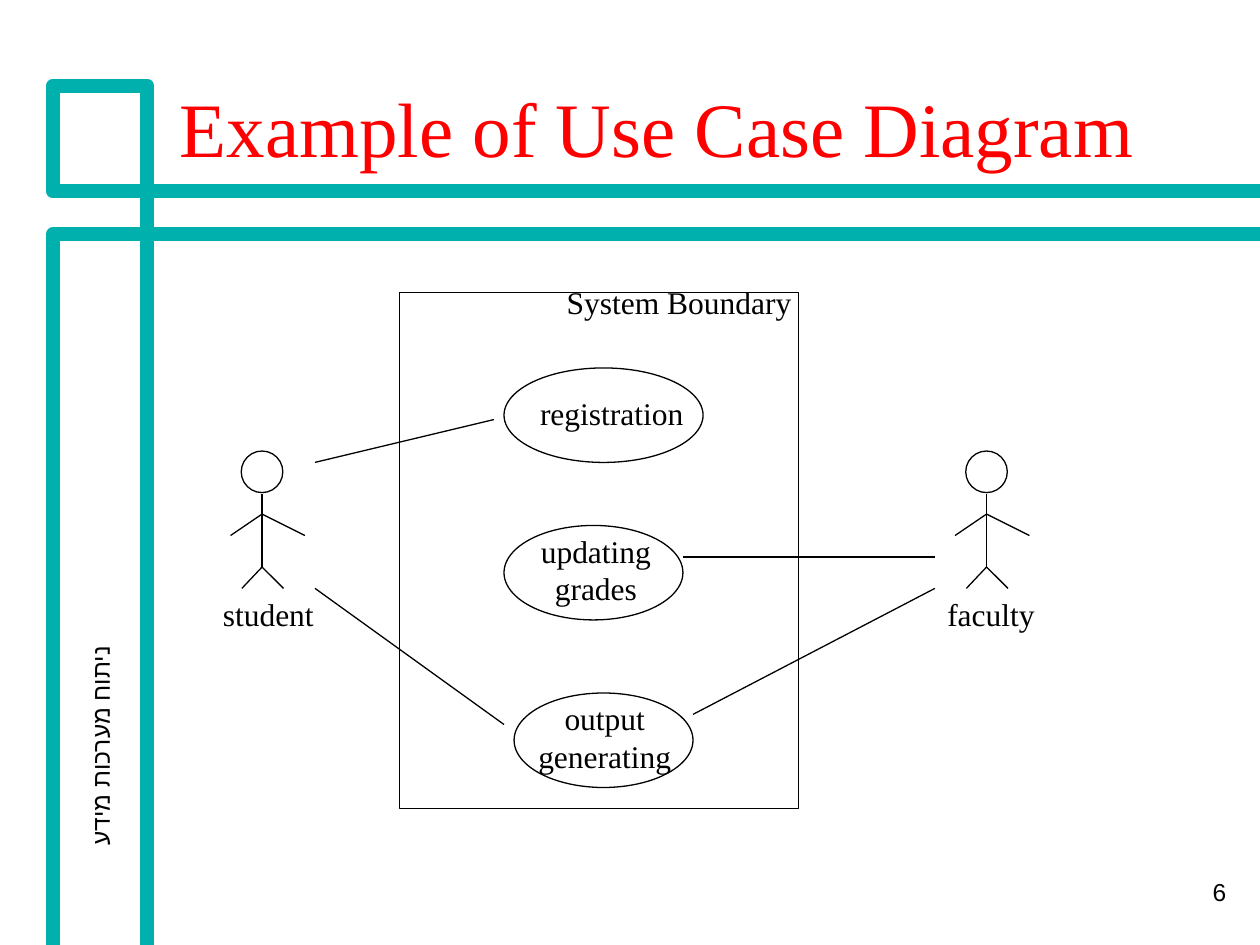
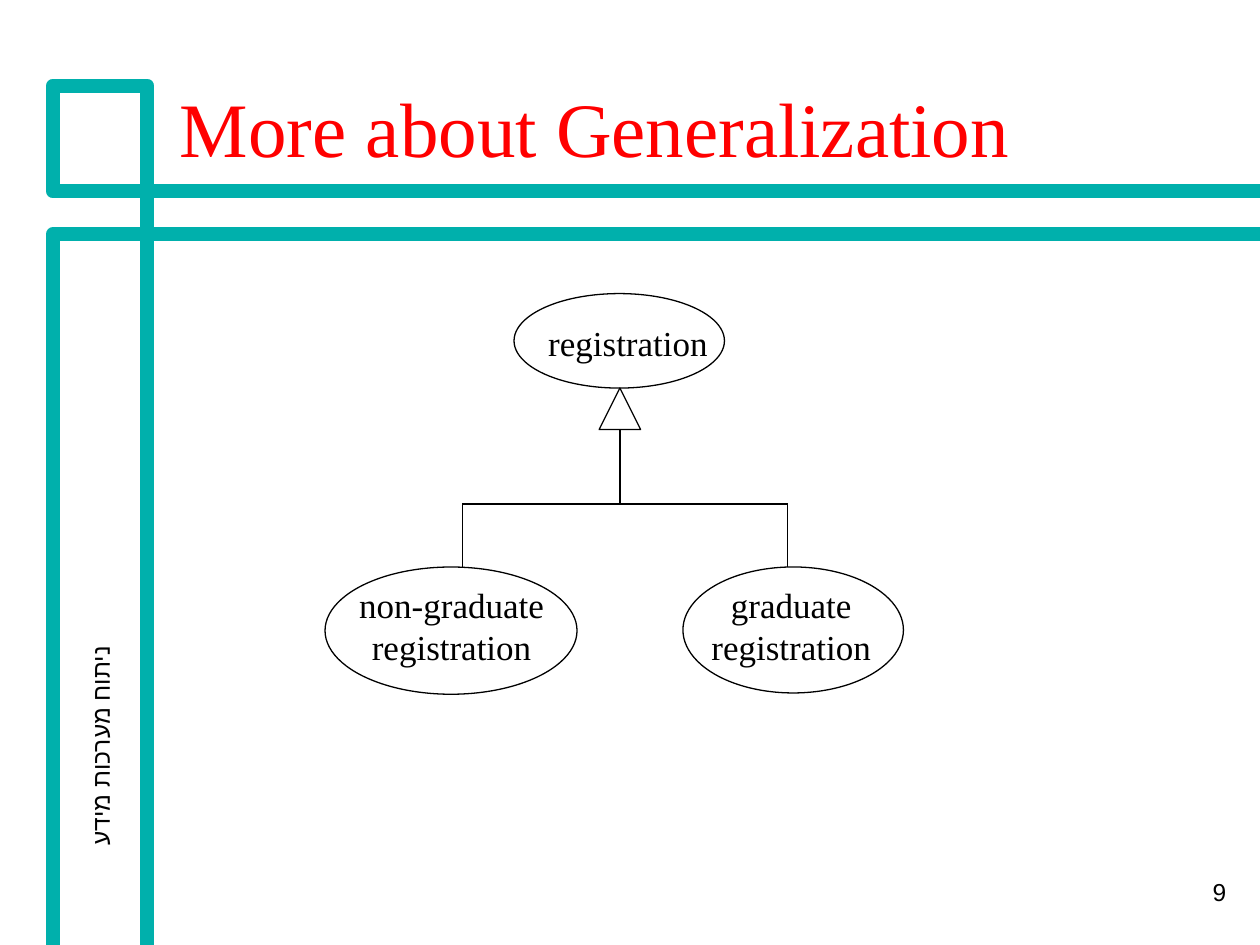
import pptx
import pptx.util
import pptx.dml.color
import pptx.enum.shapes
import pptx.enum.text
import pptx.oxml.ns
import lxml.etree

Inches = pptx.util.Inches
Pt = pptx.util.Pt
Align = pptx.enum.text.PP_ALIGN
Anchor = pptx.enum.text.MSO_ANCHOR
Shape = pptx.enum.shapes.MSO_SHAPE
qn = pptx.oxml.ns.qn

BLACK, RED, TEAL = "000000", "FF0000", "00B0AC"
SERIF, SANS = "Times New Roman", "Arial"
COURSE = "ניתוח מערכות מידע"
BANDS = [
    [(10.02, 1.86), (0.42, 1.86), (0.42, 7.5)],
    [(1.17, 7.5), (1.17, 0.68), (0.42, 0.68), (0.42, 1.52), (10.02, 1.52)],
]

ACTORS = [("student", 2.08, 1.08), ("faculty", 7.83, 1)]
ACTOR_TOP = 3.58
HEAD = 0.33
LIMBS = [
    (0, 0.34, 0, 0.92),
    (0, 0.5, 0.34, 0.67),
    (0, 0.5, -0.25, 0.67),
    (0, 0.92, 0.17, 1.09),
    (0, 0.92, -0.16, 1.09),
]
USE_CASES = [
    (["registration"], (4, 2.92, 1.58, 0.75), (4.13, 3.08, 1.45, 0.4)),
    (["updating", "grades"], (4, 4.17, 1.42, 0.75), (4.08, 4.17, 1.3, 0.7)),
    (["output", "generating"], (4.08, 5.5, 1.42, 0.75), (4.02, 5.5, 1.56, 0.74)),
]
ASSOCIATIONS = [
    (2.5, 3.67, 3.92, 3.33),
    (2.5, 4.67, 4, 5.75),
    (7.42, 4.42, 5.42, 4.42),
    (7.42, 4.67, 5.5, 5.67),
]
BOUNDARY = (3.17, 2.32, 3.17, 4.1)
BOUNDARY_LABEL = (4.39, 2.2, 2, 0.5)

CLASSES = [
    (["registration"], (4.08, 2.33, 1.67, 0.75), (4.22, 2.5, 1.53, 0.43)),
    (["graduate", "registration"], (5.42, 4.5, 1.75, 1), (5.48, 4.58, 1.6, 0.77)),
    (["non-graduate", "registration"], (2.58, 4.5, 2, 1.01), (2.67, 4.58, 1.83, 0.77)),
]
PARENT_X, CHILD_XS = 4.92, (3.67, 6.25)
TRIANGLE_TOP, TRIANGLE_SIDE = 3.08, 0.33
BRANCH_Y, CHILD_TOP = 4, 4.5


def color(value):
    return pptx.dml.color.RGBColor.from_string(value)


def style_outline(shape, line_color=BLACK, width=0.75):
    shape.shadow.inherit = False
    shape.fill.background()
    shape.line.color.rgb = color(line_color)
    shape.line.width = Pt(width)


def add_outline(page, kind, area):
    shape = page.shapes.add_shape(kind, *map(Inches, area))
    style_outline(shape)


def add_line(page, ends):
    line = page.shapes.add_connector(
        pptx.enum.shapes.MSO_CONNECTOR.STRAIGHT, *map(Inches, ends))
    line.line.color.rgb = color(BLACK)
    line.line.width = Pt(0.75)
    lxml.etree.SubElement(line.element.spPr, qn("a:effectLst"))


def add_text(page, lines, area, size=18, align=Align.CENTER, font=SERIF,
             ink=BLACK, anchor=Anchor.TOP, wrap=True):
    box = page.shapes.add_textbox(*map(Inches, area))
    frame = box.text_frame
    frame.word_wrap = wrap
    frame.vertical_anchor = anchor
    frame.text = "\n".join(lines)
    for para in frame.paragraphs:
        para.alignment = align
        para.font.name = font
        para.font.size = Pt(size)
        para.font.color.rgb = color(ink)
    return box


def add_bands(page):
    for points in BANDS:
        corners = [(Inches(x), Inches(y)) for x, y in points]
        builder = page.shapes.build_freeform(*corners[0])
        builder.add_line_segments(corners[1:], close=False)
        band = builder.convert_to_shape()
        style_outline(band, TEAL, 8)
        lxml.etree.SubElement(band.element.spPr.find(qn("a:ln")), qn("a:round"))


def add_page(deck, title, number):
    page = deck.slides.add_slide(deck.slide_layouts[6])
    add_bands(page)
    course = add_text(page, [COURSE], (-0.79, 5.67, 3.17, 0.5), 14,
                      font=SANS, anchor=Anchor.MIDDLE, wrap=False)
    course.rotation = 270
    properties = course.text_frame.paragraphs[0].font.fill._xPr
    lxml.etree.SubElement(properties, qn("a:cs")).set("typeface", SANS)
    add_text(page, [str(number)], (7.75, 6.83, 2.08, 0.5), 14, Align.RIGHT,
             font=SANS, anchor=Anchor.MIDDLE)
    add_text(page, [title], (1.33, 0.23, 8.5, 1.19), 44, Align.LEFT,
             ink=RED, anchor=Anchor.BOTTOM)
    return page


def add_ovals(page, ovals, size):
    for lines, oval, label in ovals:
        add_outline(page, Shape.OVAL, oval)
        add_text(page, lines, label, size)


def add_actor(page, name, center, label_width):
    add_outline(page, Shape.OVAL, (center - HEAD / 2, ACTOR_TOP, HEAD, HEAD))
    for x1, y1, x2, y2 in LIMBS:
        add_line(page, (center + x1, ACTOR_TOP + y1, center + x2, ACTOR_TOP + y2))
    add_text(page, [name], (center - 0.41, 4.67, label_width, 0.4), align=Align.LEFT)


def build_use_case_page(deck):
    page = add_page(deck, "Example of Use Case Diagram", 6)
    for actor in ACTORS:
        add_actor(page, *actor)
    add_ovals(page, USE_CASES, 18)
    for ends in ASSOCIATIONS:
        add_line(page, ends)
    add_outline(page, Shape.RECTANGLE, BOUNDARY)
    add_text(page, ["System Boundary"], BOUNDARY_LABEL)


def build_generalization_page(deck):
    page = add_page(deck, "More about Generalization", 9)
    add_ovals(page, CLASSES, 20)
    add_outline(page, Shape.ISOSCELES_TRIANGLE,
                (PARENT_X - TRIANGLE_SIDE / 2, TRIANGLE_TOP, TRIANGLE_SIDE, TRIANGLE_SIDE))
    add_line(page, (PARENT_X, TRIANGLE_TOP + TRIANGLE_SIDE, PARENT_X, BRANCH_Y))
    add_line(page, (CHILD_XS[0], BRANCH_Y, CHILD_XS[1], BRANCH_Y))
    for x in CHILD_XS:
        add_line(page, (x, BRANCH_Y, x, CHILD_TOP))


deck = pptx.Presentation()
deck.slide_width, deck.slide_height = Inches(10), Inches(7.5)
build_use_case_page(deck)
build_generalization_page(deck)
deck.save("out.pptx")
